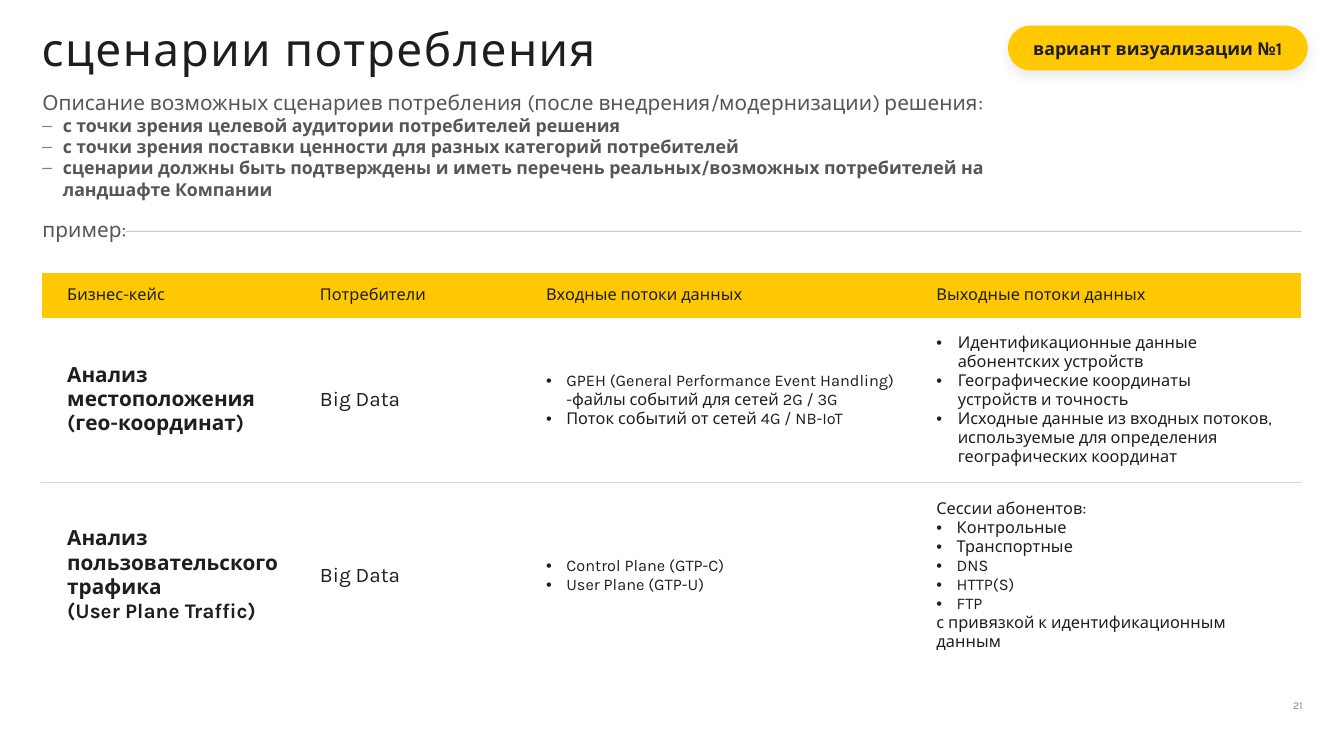
from lxml import etree
from pptx import Presentation
from pptx.dml.color import RGBColor
from pptx.enum import shapes, text
from pptx.oxml import ns
from pptx.util import Inches, Pt

COLORS = {"ink": "1E1E1E", "grey": "565656", "dash": "808080", "yellow": "FFC800",
          "rule": "343434", "divider": "D9D9D9", "white": "FFFFFF", "shadow": "000000"}
FONT = "Karla"
NO_GRID_STYLE = "{2D5ABB26-0587-4C30-8999-92F81FD0307C}"
TITLE = "сценарии потребления"
BADGE = "вариант визуализации №1"
EXAMPLE = "пример:"
PAGE = "21"
INTRO = "Описание возможных сценариев потребления (после внедрения/модернизации) решения:"
POINTS = [
    "с точки зрения целевой аудитории потребителей решения",
    "с точки зрения поставки ценности для разных категорий потребителей",
    "сценарии должны быть подтверждены и иметь перечень реальных/возможных "
    "потребителей на ландшафте Компании",
]
HEADERS = ["Бизнес-кейс", "Потребители", "Входные потоки данных", "Выходные потоки данных"]
CASES = [
    (["Анализ местоположения \n(гео-координат)"],
     ["Big Data"],
     ["• GPEH (General Performance Event Handling) -файлы событий для сетей 2G / 3G",
      "• Поток событий от сетей 4G / NB-IoT"],
     ["• Идентификационные данные \nабонентских устройств",
      "• Географические координаты \nустройств и точность",
      "• Исходные данные из входных потоков, используемые для определения \n"
      "географических координат"]),
    (["Анализ пользовательского трафика", "(User Plane Traffic)"],
     ["Big Data"],
     ["• Control Plane (GTP-C)", "• User Plane (GTP-U)"],
     ["Сессии абонентов:", "• Контрольные", "• Транспортные", "• DNS", "• HTTP(S)", "• FTP",
      "с привязкой к идентификационным данным"]),
]
COL_WIDTHS = [2.37, 2.12, 3.66, 3.66]
ROW_HEIGHTS = [0.42, 1.54, 1.75]
CASE_SIZES = [(14, True), (14, False), (11, False), (11, False)]


def rgb(name):
    return RGBColor.from_string(COLORS[name])


def add_xml(parent, tag, **attrs):
    return etree.SubElement(parent, ns.qn(tag), {k: str(v) for k, v in attrs.items()})


def add_color(parent, name, alpha=None):
    color = add_xml(parent, "a:srgbClr", val=COLORS[name])
    if alpha is not None:
        add_xml(color, "a:alpha", val=alpha * 1000)


def write(p, words, size, color, bold=False, bullet_color=None, indent=0.19):
    if words[:2] in ("• ", "– "):
        pPr = p._p.get_or_add_pPr()
        pPr.set("marL", str(Inches(indent)))
        pPr.set("indent", str(-Inches(indent)))
        if bullet_color:
            add_color(add_xml(pPr, "a:buClr"), bullet_color)
        add_xml(pPr, "a:buFont", typeface="Arial")
        add_xml(pPr, "a:buChar", char=words[0])
        words = words[2:]
    p.text = words
    for r in p.runs:
        r.font.name, r.font.size, r.font.bold = FONT, Pt(size), bold
        r.font.color.rgb = rgb(color)
    for br in p._p.findall(ns.qn("a:br")):
        add_xml(br, "a:rPr", sz=size * 100)


def write_all(tf, lines, *style, **options):
    for i, line in enumerate(lines):
        write(tf.add_paragraph() if i else tf.paragraphs[0], line, *style, **options)


def add_text(s, box, words, size, color, insets=None):
    tf = s.shapes.add_textbox(*map(Inches, box)).text_frame
    tf.word_wrap = True
    if insets:
        tf.margin_left, tf.margin_top, tf.margin_right, tf.margin_bottom = map(Inches, insets)
    write(tf.paragraphs[0], words, size, color)
    return tf


def add_border(cell, side, color, width):
    line = add_xml(cell._tc.get_or_add_tcPr(), f"a:ln{side}", w=Pt(width))
    add_color(add_xml(line, "a:solidFill"), color)


def add_heading(s):
    title = add_text(s, (0.39, 0.25, 10.24, 1.09), TITLE, 31, "ink", (0, 0, 0, 0.12))
    title.paragraphs[0].line_spacing = 0.9
    title.paragraphs[0].runs[0]._r.get_or_add_rPr().set("spc", "100")
    intro = add_text(s, (0.3, 0.79, 9.78, 1.84), INTRO, 14, "grey")
    for point in POINTS:
        write(intro.add_paragraph(), "– " + point, 12, "grey", True, "dash")
    add_text(s, (0.3, 1.98, 1.35, 0.28), EXAMPLE, 14, "grey")
    rule = s.shapes.add_connector(shapes.MSO_CONNECTOR.STRAIGHT,
                                  *map(Inches, (1.18, 2.17, 12.2, 2.17)))
    rule.line.color.rgb, rule.line.width = rgb("rule"), Pt(0.75)
    add_xml(rule._element.spPr.find(".//" + ns.qn("a:srgbClr")), "a:alpha", val=25000)
    add_xml(rule._element.spPr, "a:effectLst")


def add_cases(s):
    box = (0.39, 2.56, sum(COL_WIDTHS), sum(ROW_HEIGHTS))
    frame = s.shapes.add_table(len(ROW_HEIGHTS), len(COL_WIDTHS), *map(Inches, box))
    table = frame.table
    table.first_row = table.horz_banding = False
    table._tbl.tblPr.find(ns.qn("a:tableStyleId")).text = NO_GRID_STYLE
    for col, width in zip(table.columns, COL_WIDTHS):
        col.width = Inches(width)
    for row, height in zip(table.rows, ROW_HEIGHTS):
        row.height = Inches(height)
    for y, lines_by_col in enumerate([[[h] for h in HEADERS], *CASES]):
        for x, lines in enumerate(lines_by_col):
            cell = table.cell(y, x)
            cell.vertical_anchor = text.MSO_ANCHOR.MIDDLE
            cell.margin_left, cell.margin_right = Inches(0.24), Inches(0.09)
            cell.margin_top = cell.margin_bottom = Inches(0.05)
            size, bold = CASE_SIZES[x] if y else (11, False)
            indent = 0.2 if (y, x) == (1, 3) else 0.19
            write_all(cell.text_frame, lines, size, "ink", bold, indent=indent)
            if y == 0:
                cell.fill.solid()
                cell.fill.fore_color.rgb = rgb("yellow")
                continue
            add_border(cell, "L", "white", 1)
            add_border(cell, "R", "white", 1)
            if y == 1:
                add_border(cell, "B", "divider", 0.25)
            else:
                add_border(cell, "T", "divider", 0.25)
                add_border(cell, "B", "white", 1)
            cell.fill.background()


def add_badge(s):
    sp = s.shapes.add_shape(shapes.MSO_SHAPE.ROUNDED_RECTANGLE,
                            *map(Inches, (9.45, 0.24, 2.81, 0.42)))
    sp.adjustments[0] = 0.5
    sp.fill.solid()
    sp.fill.fore_color.rgb = rgb("yellow")
    sp.line.fill.background()
    sp.shadow.inherit = False
    effects = sp._element.spPr.find(ns.qn("a:effectLst"))
    shadow = add_xml(effects, "a:outerShdw", blurRad=Pt(9), dist=Pt(3), dir=80 * 60000,
                     algn="t", rotWithShape=0)
    add_color(shadow, "shadow", 9)
    tf = sp.text_frame
    tf.word_wrap = False
    tf.margin_left = tf.margin_top = tf.margin_right = tf.margin_bottom = 0
    tf.vertical_anchor = text.MSO_ANCHOR.MIDDLE
    write(tf.paragraphs[0], BADGE, 12, "ink", True)
    tf.paragraphs[0].alignment = text.PP_ALIGN.CENTER


def main():
    """Build the consumption scenarios slide."""
    prs = Presentation()
    prs.slide_width, prs.slide_height = Inches(12.6), Inches(7.09)
    s = prs.slides.add_slide(prs.slide_layouts[6])
    number = add_text(s, (11.42, 6.56, 0.79, 0.08), PAGE, 7, "dash", (0, 0, 0, 0))
    number.paragraphs[0].alignment = text.PP_ALIGN.RIGHT
    add_heading(s)
    add_cases(s)
    add_badge(s)
    prs.save("out.pptx")


if __name__ == "__main__":
    main()
